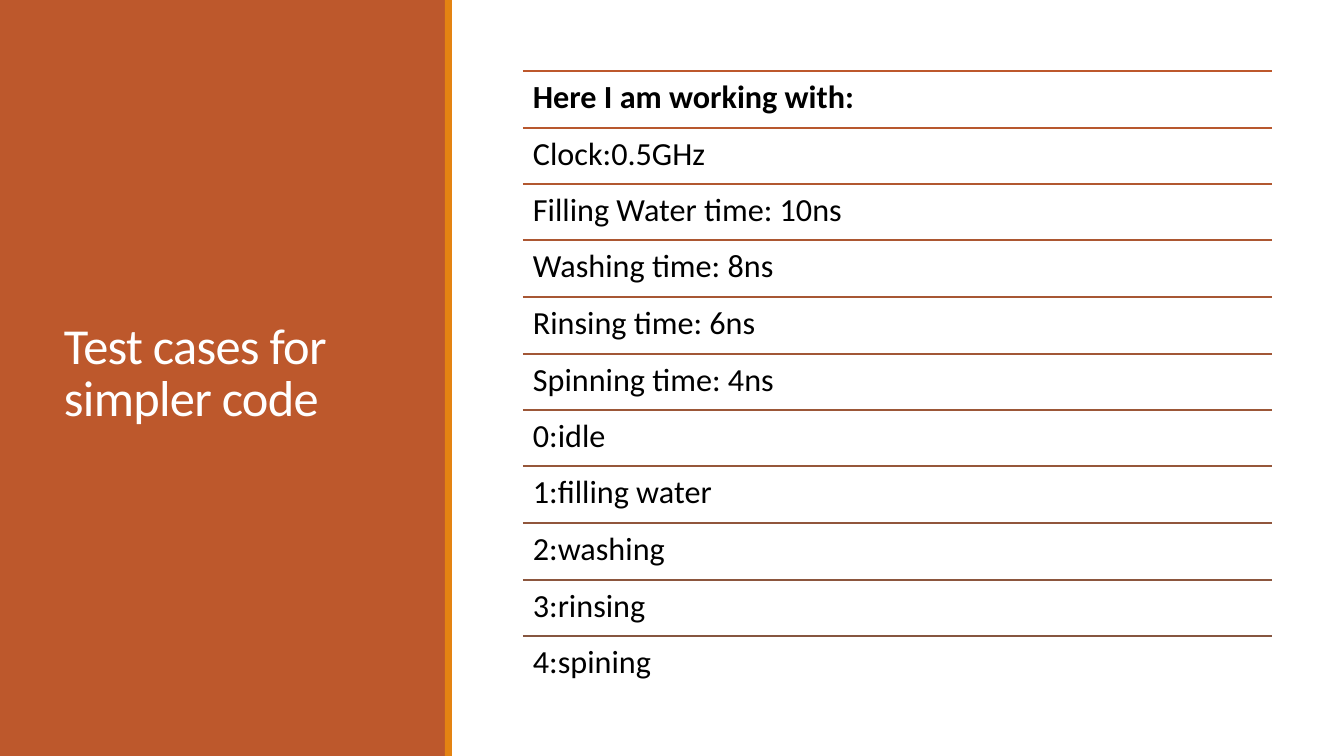
from lxml.etree import SubElement
from pptx import Presentation
from pptx.dml.color import RGBColor
from pptx.enum.shapes import MSO_CONNECTOR, MSO_SHAPE
from pptx.enum.text import MSO_ANCHOR
from pptx.oxml.ns import qn
from pptx.util import Emu, Pt

COLORS = {
    "rust": "BD582C",
    "umber": "865640",
    "amber": "E48312",
    "white": "FFFFFF",
    "black": "000000",
}
TITLE = {
    "frame": {"vertical_anchor": MSO_ANCHOR.MIDDLE},
    "paragraph": {"line_spacing": 0.85},
    "font": {"size": Pt(36)},
}
ENTRY = {
    "frame": {"margin_top": Emu(91440), "margin_bottom": Emu(91440)},
    "paragraph": {"line_spacing": 0.9},
    "font": {"size": Pt(23)},
}
ENTRIES = [
    "Here I am working with:",
    "Clock:0.5GHz",
    "Filling Water time: 10ns",
    "Washing time: 8ns",
    "Rinsing time: 6ns",
    "Spinning time: 4ns",
    "0:idle",
    "1:filling water",
    "2:washing",
    "3:rinsing",
    "4:spining",
]
LIST_LEFT, LIST_WIDTH = 523, 749
FIRST_TOP, LAST_TOP = 71, 636
ENTRY_HEIGHT = 57


def px(length):
    return Emu(round(length * 914400 / 100.8))


def blend(start, end, share):
    pairs = zip(bytes.fromhex(start), bytes.fromhex(end))
    return RGBColor(*(round(a + (b - a) * share) for a, b in pairs))


def apply(target, values):
    for name, value in values.items():
        setattr(target, name, value)


class SlideBuilder:
    """Draws styled elements on one slide, measured in px."""

    def __init__(self, slide, font_name):
        self.shapes = slide.shapes
        self.font_name = font_name

    def panel(self, box, color):
        panel = self.shapes.add_shape(MSO_SHAPE.RECTANGLE, *map(px, box))
        panel.shadow.inherit = False
        panel.fill.solid()
        panel.fill.fore_color.rgb = RGBColor.from_string(COLORS[color])
        panel.line.fill.background()

    def text(self, box, wording, style, color, bold=False, tracking=0):
        frame = self.shapes.add_textbox(*map(px, box)).text_frame
        apply(frame, {"word_wrap": True, **style["frame"]})
        paragraph = frame.paragraphs[0]
        apply(paragraph, style["paragraph"])
        run = paragraph.add_run()
        run.text = wording
        apply(run.font, {"name": self.font_name, "bold": bold, **style["font"]})
        run.font.color.rgb = RGBColor.from_string(COLORS[color])
        if tracking:
            run.font._element.set("spc", str(tracking))

    def rule(self, left, top, width, color):
        rule = self.shapes.add_connector(
            MSO_CONNECTOR.STRAIGHT, px(left), px(top), px(left + width), px(top)
        )
        rule.line.width = Pt(1.25)
        rule.line.color.rgb = color
        SubElement(rule._element.spPr, qn("a:effectLst"))


def main():
    deck = Presentation()
    deck.slide_width, deck.slide_height = px(1344), px(756)
    builder = SlideBuilder(deck.slides.add_slide(deck.slide_layouts[6]), "Calibri")

    builder.panel((0, 0, 447, 756), "rust")
    builder.text((54, 57, 340, 636), "Test cases for simpler code", TITLE, "white",
                 tracking=-50)
    builder.panel((445, 0, 7, 756), "amber")

    for index, entry in enumerate(ENTRIES):
        share = index / (len(ENTRIES) - 1)
        top = round(FIRST_TOP + (LAST_TOP - FIRST_TOP) * share)
        builder.rule(LIST_LEFT, top, LIST_WIDTH,
                     blend(COLORS["rust"], COLORS["umber"], share))
        builder.text((LIST_LEFT, top, LIST_WIDTH, ENTRY_HEIGHT), entry, ENTRY, "black",
                     bold=index == 0)

    deck.save("out.pptx")


if __name__ == "__main__":
    main()
